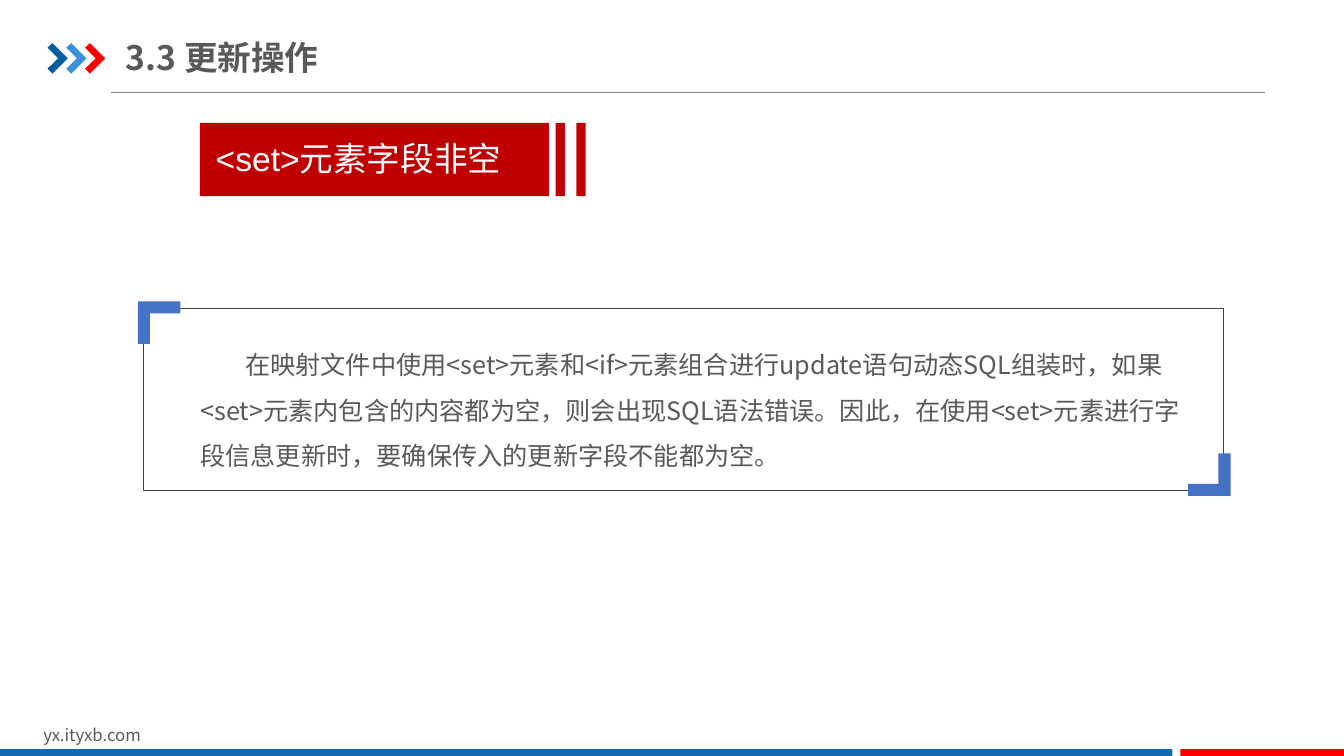
from lxml.etree import SubElement
from pptx import Presentation
from pptx.dml.color import RGBColor
from pptx.enum.shapes import MSO_CONNECTOR as Connector, MSO_SHAPE as Shape
from pptx.enum.text import MSO_ANCHOR as Anchor, MSO_AUTO_SIZE as AutoSize, PP_ALIGN as Align
from pptx.oxml.ns import qn
from pptx.util import Pt

COLORS = {
    "navy": "005DA2", "sky": "3992DB", "bright": "FF0000", "footer": "1369B2",
    "label": "C00000", "corner": "4472C4", "text": "595959", "white": "FFFFFF",
    "frame": "404040", "rule": "808080",
}
SANS = "Noto Sans CJK SC"


def color(name):
    """Return the named colour."""
    return RGBColor.from_string(COLORS[name])


def write(shape, text, size=12, font=SANS, fill="text", bold=False, align=Align.LEFT,
          anchor=Anchor.TOP, insets=(7.2, 3.6), spacing=1.0, indent=0):
    """Put one formatted paragraph into a shape."""
    frame = shape.text_frame
    frame.word_wrap = True
    frame.auto_size = AutoSize.NONE
    frame.vertical_anchor = anchor
    frame.margin_left = frame.margin_right = Pt(insets[0])
    frame.margin_top = frame.margin_bottom = Pt(insets[1])
    para = frame.paragraphs[0]
    para.alignment = align
    para.line_spacing = spacing
    if indent:
        para._p.get_or_add_pPr().set("indent", str(Pt(indent)))
    span = para.add_run()
    span.text = text
    span.font.size = Pt(size)
    span.font.bold = bold
    span.font.name = font
    span.font.color.rgb = color(fill)
    SubElement(span.font._element, qn("a:ea")).set("typeface", SANS)


class Page:
    """Draw styled elements on one slide, with lengths in points."""

    def __init__(self, deck):
        self.slide = deck.slides.add_slide(deck.slide_layouts[5])
        self.shapes = self.slide.shapes

    def title(self, text, left, top, width, height, **style):
        """Move and fill the title placeholder."""
        box = self.shapes.title
        box.left, box.top, box.width, box.height = map(Pt, (left, top, width, height))
        write(box, text, **style)

    def text(self, text, left, top, width, height, **style):
        """Add a text box."""
        write(self.shapes.add_textbox(*map(Pt, (left, top, width, height))), text, **style)

    def paint(self, shape, fill=None, line=None):
        """Set the fill and outline of a shape."""
        shape.shadow.inherit = False
        if fill:
            shape.fill.solid()
            shape.fill.fore_color.rgb = color(fill)
        else:
            shape.fill.background()
        if line:
            shape.line.color.rgb = color(line)
            shape.line.width = Pt(0.25)
        else:
            shape.line.fill.background()
        return shape

    def rectangle(self, left, top, width, height, fill=None, line=None):
        """Add a rectangle."""
        shape = self.shapes.add_shape(Shape.RECTANGLE, *map(Pt, (left, top, width, height)))
        return self.paint(shape, fill, line)

    def outline(self, left, top, points, fill, sign=1):
        """Add a filled polygon, turned by half a circle when sign is -1."""
        places = [(Pt(left + sign * x), Pt(top + sign * y)) for x, y in points]
        builder = self.shapes.build_freeform(*places[0])
        builder.add_line_segments(places[1:], close=True)
        return self.paint(builder.convert_to_shape(), fill)

    def rule(self, left, right, top):
        """Add a thin horizontal line."""
        line = self.shapes.add_connector(
            Connector.STRAIGHT, Pt(left), Pt(top), Pt(right), Pt(top))
        line.line.color.rgb = color("rule")
        line.line.width = Pt(0.5)
        SubElement(line._element.spPr, qn("a:effectLst"))


def main():
    """Build and save the deck."""
    deck = Presentation()
    deck.slide_width, deck.slide_height = Pt(960), Pt(540)
    page = Page(deck)

    page.rule(79.2, 903.6, 65.9)
    chevron = [(0, 3.2), (3.5, 0), (14.4, 10.9), (3.5, 21.8), (0, 18.2), (7.6, 10.9)]
    for index, fill in enumerate(("navy", "sky", "bright")):
        page.outline(34 + 13.4 * index, 30.8, chevron, fill)
    page.text("yx.ityxb.com", 23.8, 514.1, 229, 21.6)
    page.rectangle(0, 535, 837.4, 6.5, "footer")
    page.rectangle(843.1, 535, 117.4, 6.5, "bright")

    page.title("3.3 更新操作", 90, 20.9, 155.5, 39.6, size=24, bold=True,
               anchor=Anchor.MIDDLE, insets=(0, 5))

    for left, width in ((142.8, 249.2), (396.9, 6.6), (411.7, 6.6)):
        page.rectangle(left, 87.8, width, 52.4, "label")
    label = page.rectangle(147, 95, 240.5, 36.3, "label")
    write(label, "<set>元素字段非空", size=24, font="Arial", fill="white", align=Align.JUSTIFY)

    page.text("在映射文件中使用<set>元素和<if>元素组合进行update语句动态SQL组装时，"
              "如果<set>元素内包含的内容都为空，则会出现SQL语法错误。"
              "因此，在使用<set>元素进行字段信息更新时，要确保传入的更新字段不能都为空。",
              136, 235.4, 720, 91.4, size=18, spacing=1.5, indent=32)
    page.rectangle(102.6, 220.3, 771.4, 130, line="frame")
    corner = [(0, 0), (30.4, 0), (30.4, 8.6), (8.6, 8.6), (8.6, 30.4), (0, 30.4)]
    for left, top, sign in ((98.5, 215.3, 1), (879, 354.2, -1)):
        page.outline(left, top, corner, "corner", sign)

    deck.save("out.pptx")


if __name__ == "__main__":
    main()
